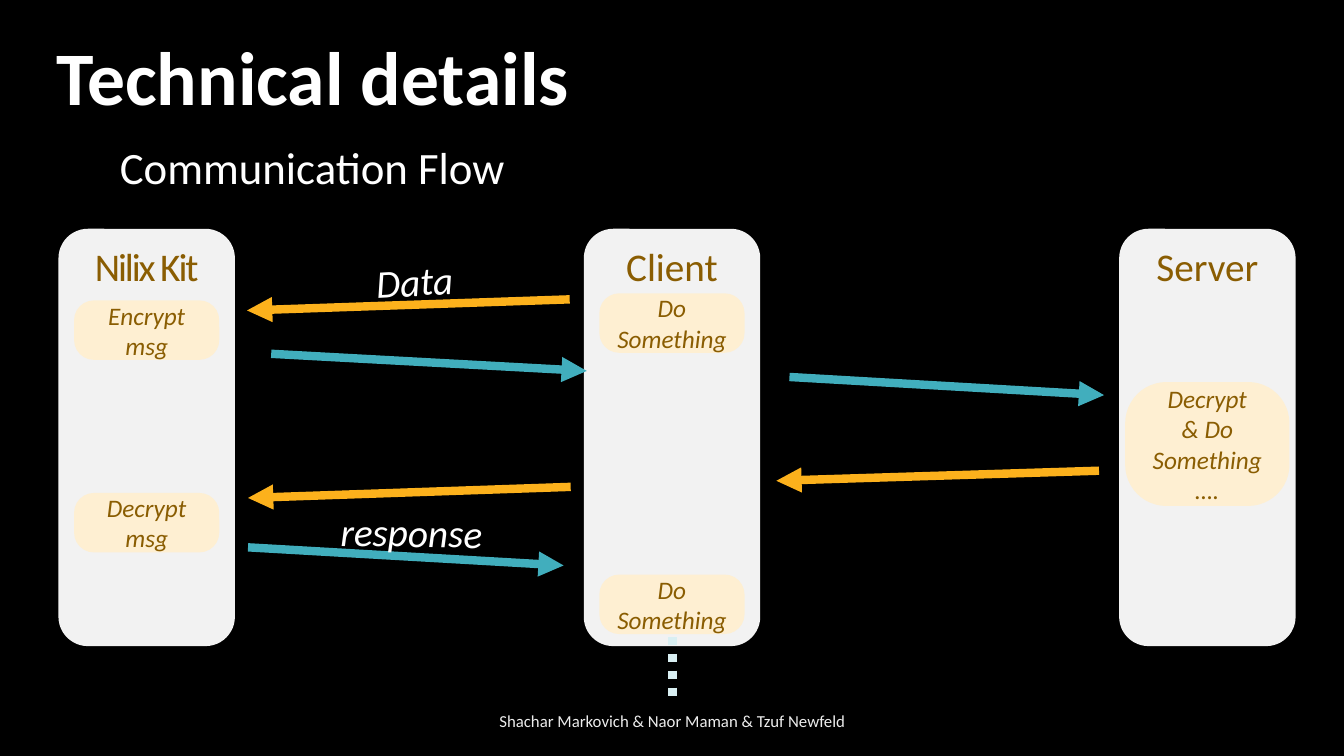
from lxml import etree
from pptx import Presentation
from pptx.dml.color import RGBColor
from pptx.enum import dml, shapes, text
from pptx.oxml import ns
from pptx.util import Inches, Pt

BLACK = RGBColor(0x00, 0x00, 0x00)
WHITE = RGBColor(0xFF, 0xFF, 0xFF)
FOOTER_GRAY = RGBColor(0xED, 0xED, 0xED)
COLUMN_GRAY = RGBColor(0xF2, 0xF2, 0xF2)
CREAM = RGBColor(0xFE, 0xEF, 0xD2)
BROWN = RGBColor(0x8A, 0x5D, 0x02)
TEAL = RGBColor(0x41, 0xAE, 0xBD)
ORANGE = RGBColor(0xFC, 0xB1, 0x1C)
PALE_TEAL = RGBColor(0xD9, 0xEF, 0xF2)

FONT = "Calibri"
COLUMN_TOP, COLUMN_WIDTH, COLUMN_HEIGHT = 2.27, 1.75, 4.14
STEP_WIDTH, STEP_HEIGHT = 1.44, 0.59


def write(shape, content, size, color, align=text.PP_ALIGN.LEFT,
          anchor=text.MSO_ANCHOR.TOP, bold=False, italic=False):
    frame = shape.text_frame
    frame.text = content
    frame.word_wrap = True
    frame.auto_size = text.MSO_AUTO_SIZE.NONE
    frame.vertical_anchor = anchor
    for paragraph in frame.paragraphs:
        paragraph.alignment = align
        for run in paragraph.runs:
            run.font.name = FONT
            run.font.size = Pt(size)
            run.font.bold = bold
            run.font.italic = italic
            run.font.color.rgb = color


def add_label(slide, content, box, size, color=WHITE, rotation=0, **style):
    label = slide.shapes.add_textbox(*map(Inches, box))
    label.rotation = rotation
    write(label, content, size, color, **style)


def add_rounded(slide, box, fill):
    shape = slide.shapes.add_shape(
        shapes.MSO_SHAPE.ROUNDED_RECTANGLE, *map(Inches, box))
    shape.shadow.inherit = False
    shape.fill.solid()
    shape.fill.fore_color.rgb = fill
    shape.line.fill.background()
    return shape


def add_column(slide, name, left, spacing=0):
    column = add_rounded(
        slide, (left, COLUMN_TOP, COLUMN_WIDTH, COLUMN_HEIGHT), COLUMN_GRAY)
    write(column, name, 28, BROWN, text.PP_ALIGN.CENTER)
    if spacing:
        run = column.text_frame.paragraphs[0].runs[0]
        run.font._element.set("spc", str(spacing))


def add_step(slide, content, column_left, top, width=STEP_WIDTH, height=STEP_HEIGHT):
    left = column_left + (COLUMN_WIDTH - width) / 2
    step = add_rounded(slide, (left, top, width, height), CREAM)
    step.adjustments[0] = 0.333
    write(step, content, 18, BROWN, text.PP_ALIGN.CENTER,
          text.MSO_ANCHOR.MIDDLE, italic=True)


def add_line(slide, start, end, color):
    line = slide.shapes.add_connector(
        shapes.MSO_CONNECTOR.STRAIGHT, *map(Inches, start + end))
    line.line.color.rgb = color
    line.line.width = Pt(6)
    etree.SubElement(line._element.spPr, ns.qn("a:effectLst"))
    return line


def add_arrow(slide, start, end, color):
    arrow = add_line(slide, start, end, color)
    etree.SubElement(arrow.line._get_or_add_ln(), ns.qn("a:tailEnd"), type="triangle")


def main():
    presentation = Presentation()
    presentation.slide_width = Inches(13.33)
    presentation.slide_height = Inches(7.5)
    slide = presentation.slides.add_slide(presentation.slide_layouts[5])
    slide.background.fill.solid()
    slide.background.fill.fore_color.rgb = BLACK

    # Headings and footer
    title = slide.shapes.title
    title.left, title.top, title.width, title.height = map(
        Inches, (0.46, 0.25, 6.04, 1.01))
    write(title, "Technical details", 54, WHITE, bold=True)
    add_label(slide, "Communication Flow", (1.09, 1.34, 4.43, 0.64), 32)
    add_label(slide, "Shachar Markovich & Naor Maman & Tzuf Newfeld",
              (4.42, 6.95, 4.5, 0.4), 12, FOOTER_GRAY,
              align=text.PP_ALIGN.CENTER, anchor=text.MSO_ANCHOR.MIDDLE)

    # Participants
    enclave, client, server = 0.58, 5.79, 11.1
    add_column(slide, "Nilix Kit", enclave, spacing=-150)
    add_column(slide, "Client", client)
    add_column(slide, "Server", server)

    # Steps inside each participant
    add_step(slide, "Encrypt msg", enclave, 2.98)
    add_step(slide, "Decrypt msg", enclave, 4.89)
    add_step(slide, "Do Something", client, 2.91)
    add_step(slide, "Do Something", client, 5.7)
    add_step(slide, "Decrypt\n& Do Something….", server, 3.79, 1.63, 1.23)

    # Messages: orange to the left, teal to the right
    for start, end, color in (
        ((5.65, 2.97), (2.45, 3.08), ORANGE),
        ((2.69, 3.51), (5.82, 3.68), TEAL),
        ((7.83, 3.74), (10.95, 3.92), TEAL),
        ((10.9, 4.67), (7.7, 4.77), ORANGE),
        ((5.66, 4.83), (2.46, 4.94), ORANGE),
        ((2.46, 5.43), (5.59, 5.61), TEAL),
    ):
        add_arrow(slide, start, end, color)
    add_label(slide, "Data", (3.63, 2.5, 0.99, 0.57), 28, rotation=356.8, italic=True)
    add_label(slide, "response", (3.28, 5, 2.36, 0.57), 28, rotation=1, italic=True)

    # Continuation dots under the client
    dots = add_line(slide, (6.67, 6.32), (6.67, 6.95), PALE_TEAL)
    dots.line.dash_style = dml.MSO_LINE.ROUND_DOT

    presentation.save("out.pptx")


if __name__ == "__main__":
    main()
